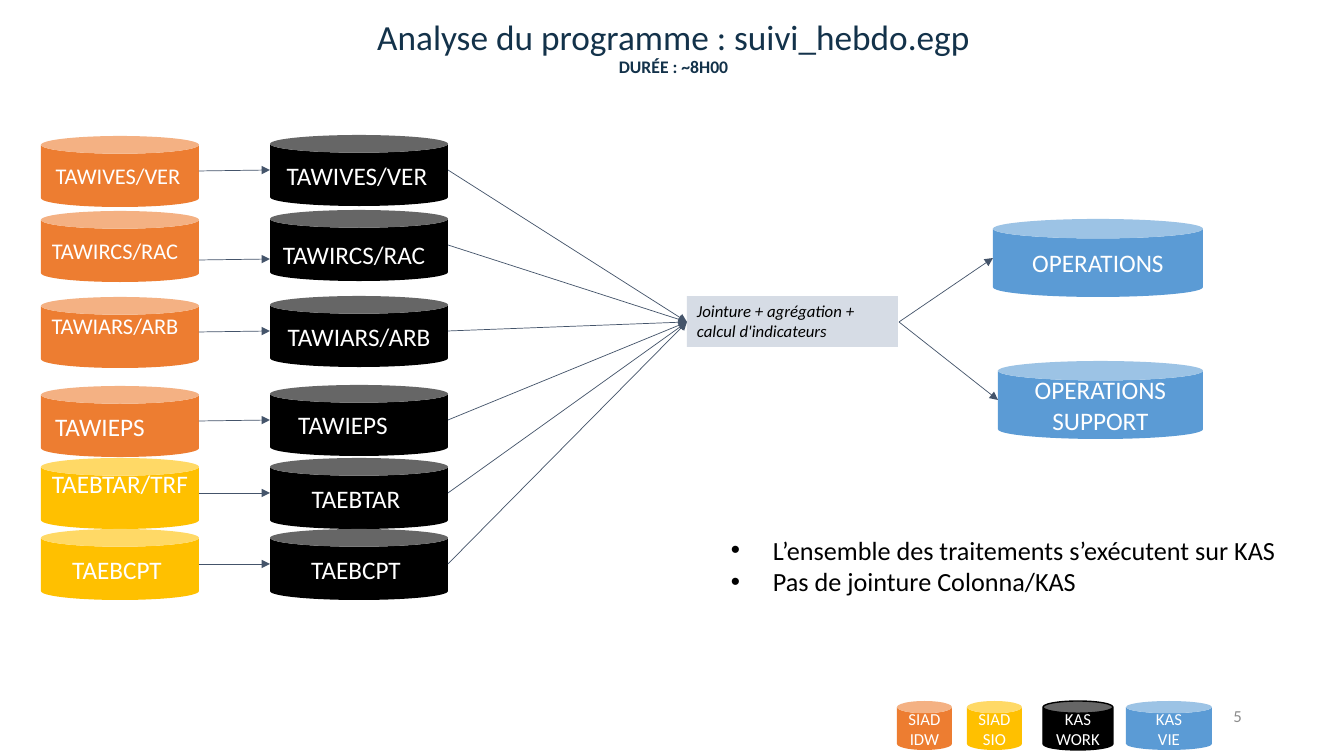
from lxml import etree
from pptx import Presentation
from pptx.dml.color import RGBColor
from pptx.enum.shapes import MSO_CONNECTOR as Link, MSO_SHAPE as Kind
from pptx.enum.text import MSO_ANCHOR as Anchor, PP_ALIGN as Align
from pptx.oxml.ns import qn
from pptx.util import Pt

SCALE = 914400 / 100.8
ORANGE = RGBColor(0xED, 0x7D, 0x31)
GOLD = RGBColor(0xFF, 0xC0, 0x00)
BLUE = RGBColor(0x5B, 0x9B, 0xD5)
BLACK = RGBColor(0x00, 0x00, 0x00)
WHITE = RGBColor(0xFF, 0xFF, 0xFF)
PALE = RGBColor(0xD6, 0xDC, 0xE5)
SLATE = RGBColor(0x44, 0x54, 0x6A)
NAVY = RGBColor(0x13, 0x32, 0x4A)
GREY = RGBColor(0x8C, 0x8C, 0x8C)

SOURCES = [
    (0, "TAWIVES/VER", 16, ORANGE, (-2, 0), 35),
    (75, "TAWIRCS/RAC", 16, ORANGE, (-5, 0), 49),
    (161, "TAWIARS/ARB", 16, ORANGE, (-5, -11), 35),
    (250, "TAWIEPS", 18, ORANGE, (-20, 0), 35),
    (322, "TAEBTAR/TRF", 18, GOLD, (0, -14), 35),
    (393, "TAEBCPT", 18, GOLD, (-3, 0), 35),
]
TABLES = [
    (0, "TAWIVES/VER", (-2, 0)),
    (75, "TAWIRCS/RAC", (-5, 4)),
    (161, "TAWIARS/ARB", (0, 0)),
    (250, "TAWIEPS", (-16, 0)),
    (323, "TAEBTAR", (-3, 0)),
    (394, "TAEBCPT", (-3, 0)),
]
LEGEND = [
    (0, 55, "SIAD\nIDW", ORANGE),
    (70, 55, "SIAD\nSIO", GOLD),
    (146, 70, "KAS\nWORK", BLACK),
    (229, 86, "KAS\nVIE", BLUE),
]


def px(n):
    """Turn pixels into EMU."""
    return round(n * SCALE)


def say(para, text, size=18, color=WHITE, bold=False, italic=False, align=Align.CENTER):
    """Write formatted text into a paragraph."""
    para.alignment = align
    run = para.add_run()
    run.text = text
    font = run.font
    font.name, font.size, font.color.rgb = "Calibri", Pt(size), color
    font.bold, font.italic = bold, italic


def fit(frame, pad=(0, 0, 0, 0), anchor=Anchor.MIDDLE):
    """Set wrapping, anchor and the left, top, right, bottom insets."""
    frame.word_wrap, frame.vertical_anchor = True, anchor
    frame.margin_left, frame.margin_top, frame.margin_right, frame.margin_bottom = map(px, pad)


def fill(frame, text, **look):
    """Write one paragraph for each line of the text."""
    for i, line in enumerate(text.split("\n")):
        say(frame.add_paragraph() if i else frame.paragraphs[0], line, **look)


def block(slide, kind, box, color):
    """Add a plain filled shape without outline."""
    shape = slide.shapes.add_shape(kind, *map(px, box))
    shape.shadow.inherit = False
    shape.fill.solid()
    shape.fill.fore_color.rgb = color
    shape.line.fill.background()
    return shape


def can(slide, box, text, color, size=18, shift=(0, 0)):
    """Add a labelled can whose label is moved by the shift."""
    shape = block(slide, Kind.CAN, box, color)
    dx, dy = shift
    pad = (max(0, 2 * dx), max(0, 2 * dy), max(0, -2 * dx), max(0, -2 * dy))
    fit(shape.text_frame, pad)
    fill(shape.text_frame, text, size=size)
    return shape


def arrow(slide, start, end):
    """Draw a thin arrow between two points."""
    line = slide.shapes.add_connector(Link.STRAIGHT, *map(px, (*start, *end)))
    line.line.color.rgb, line.line.width = SLATE, Pt(0.5)
    etree.SubElement(line.line._get_or_add_ln(), qn("a:tailEnd"), type="triangle")
    etree.SubElement(line._element.spPr, qn("a:effectLst"))


def note(slide, box, pad=(10, 5, 10, 5), anchor=Anchor.TOP):
    """Add an empty text box and return its frame."""
    frame = slide.shapes.add_textbox(*map(px, box)).text_frame
    fit(frame, pad, anchor)
    return frame


def header(slide, box):
    """Place the title and the duration under it."""
    frame = note(slide, box, anchor=Anchor.MIDDLE)
    fill(frame, "Analyse du programme : suivi_hebdo.egp", size=25.2, color=NAVY)
    say(frame.add_paragraph(), "DURÉE : ~8H00", size=12.6, color=NAVY, bold=True)
    for para in frame.paragraphs:
        para.line_spacing = 0.9


def inputs(slide, box, goal):
    """Place source cans, work cans and the arrows towards the goal."""
    x, y, wide, tall = box
    left, mid = 158, 178
    work = x + wide - mid
    for source, table in zip(SOURCES, TABLES):
        drop, text, size, color, shift, port = source
        top = y + 1 + drop
        can(slide, (x, top, left, tall), text, color, size, shift)
        drop, name, move = table
        base = y + drop
        can(slide, (work, base, mid, tall), name, BLACK, shift=move)
        arrow(slide, (x + left, top + port), (work, base + port))
        arrow(slide, (x + wide, base + 35), goal)


def join(slide, box):
    """Place the processing step."""
    frame = block(slide, Kind.RECTANGLE, box, PALE).text_frame
    fit(frame, (10, 5, 10, 5), Anchor.TOP)
    fill(frame, "Jointure + agrégation + calcul d'indicateurs",
         size=12, color=BLACK, italic=True, align=Align.LEFT)


def outputs(slide, box, start):
    """Place the result cans and their arrows."""
    x, y, wide, tall = box
    for dx, dy, text in [(0, 0, "OPERATIONS"), (5, 142, "OPERATIONS\nSUPPORT")]:
        can(slide, (x + dx, y + dy, wide - dx, tall), text, BLUE)
        arrow(slide, start, (x + dx, y + dy + tall / 2))


def points(slide, box):
    """Place the bulleted remarks."""
    frame = note(slide, box)
    fill(frame, "L’ensemble des traitements s’exécutent sur KAS\nPas de jointure Colonna/KAS",
         size=18.7, color=BLACK, align=Align.LEFT)
    for para in frame.paragraphs:
        props = para._p.get_or_add_pPr()
        props.set("marL", str(px(42)))
        props.set("indent", str(px(-42)))
        etree.SubElement(props, qn("a:buFont"), typeface="Arial")
        etree.SubElement(props, qn("a:buChar"), char="•")


def legend(slide, box):
    """Place the colour key and the page number."""
    x, y, wide, tall = box
    for dx, width, text, color in LEGEND:
        key = can(slide, (x + dx, y, width, tall), text, color, 12)
        if color == BLACK:
            key.line.color.rgb, key.line.width = BLACK, Pt(1)
    fill(note(slide, (x + wide - 303, y, 303, 40)), "5",
         size=12, color=GREY, align=Align.RIGHT)


def main():
    """Build the slide and save it."""
    deck = Presentation()
    deck.slide_width, deck.slide_height = px(1344), px(756)
    slide = deck.slides.add_slide(deck.slide_layouts[6])
    header(slide, (179, 23, 989, 52))
    inputs(slide, (41, 135, 407, 71), (687, 322))
    join(slide, (687, 296, 211, 51))
    outputs(slide, (993, 219, 210, 78), (899, 322))
    points(slide, (721, 529, 600, 105))
    legend(slide, (897, 701, 355, 49))
    deck.save("out.pptx")


if __name__ == "__main__":
    main()
